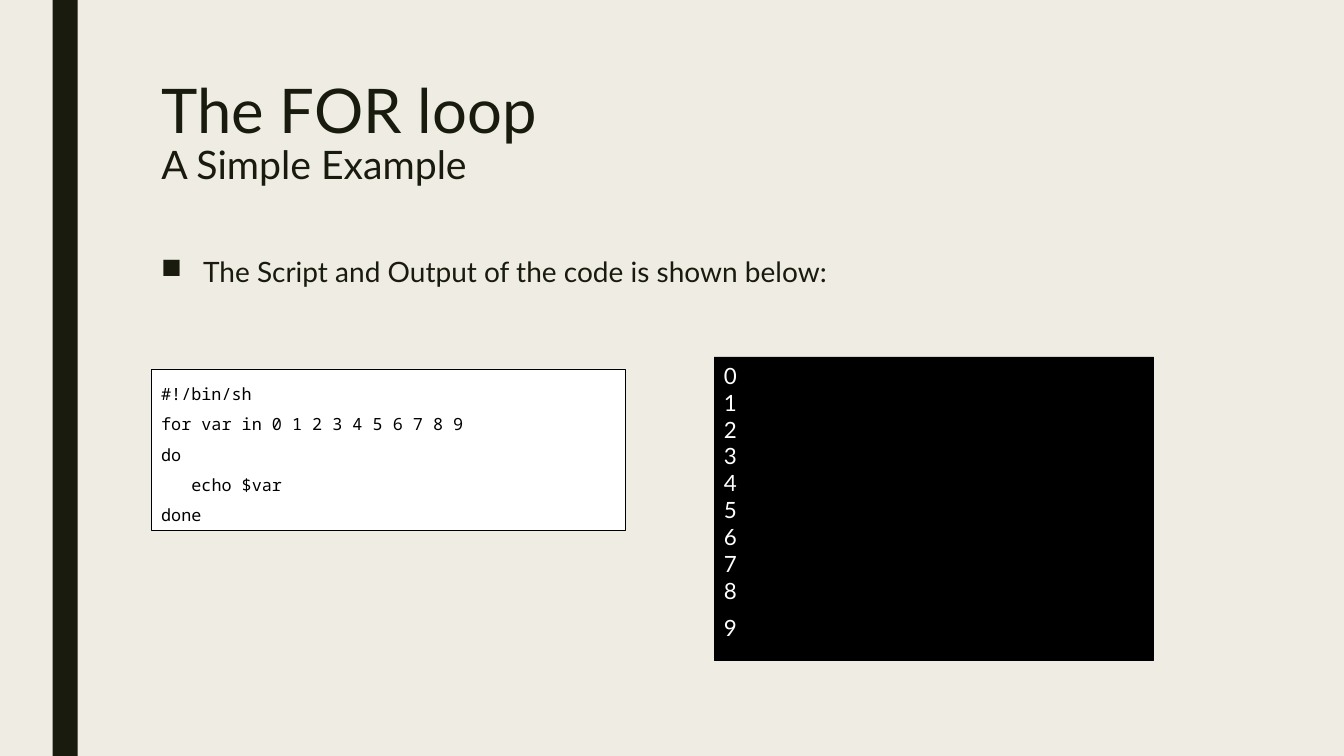
from lxml.etree import SubElement
from pptx import Presentation
from pptx.dml.color import RGBColor
from pptx.enum.shapes import MSO_SHAPE as Shape
from pptx.enum.text import MSO_ANCHOR as Anchor, MSO_AUTO_SIZE as AutoSize, PP_ALIGN as Align
from pptx.oxml.ns import qn
from pptx.util import Pt

TITLE, SUBTITLE = "The FOR loop", "A Simple Example"
BULLET = "The Script and Output of the code is shown below:"
# Each script line with its indent, counted in characters
SCRIPT = [
    (0, "#!/bin/sh"),
    (0, "for var in 0 1 2 3 4 5 6 7 8 9"),
    (0, "do"),
    (3, "echo $var"),
    (0, "done"),
]
OUTPUT = [str(number) for number in range(10)]

THEME = {
    "paper": "EFEDE3", "ink": "191B0E", "white": "FFFFFF", "black": "000000",
    "sans": "Lato", "mono": "Noto Sans Mono",
    "title": 44, "subtitle": 28, "body": 20, "output": 16, "code": 12,
}
PAGE_SIZE = (960, 540)
PLACES = {
    "bar": (37.5, 0, 18, 540),
    "title": (108, 54, 756, 116.5),
    "body": (108, 180, 756, 282),
    "script": (108, 263.5, 339, 115.5),
    "output": (510, 255, 314, 216.5),
}
BULLET_INDENT = 30
CODE_CHARACTER_WIDTH = 0.6 * THEME["code"]
CODE_LINE_HEIGHT = 1.8 * THEME["code"]
LAST_OUTPUT_GAP = 7.7


def colour(name):
    return RGBColor.from_string(THEME[name])


def set_format(target, values):
    for name, value in values.items():
        setattr(target, name, value)


def add_span(para, text, size, ink, face="sans"):
    span = para.add_run()
    span.text = text
    set_format(span.font, {"size": Pt(THEME[size]), "name": THEME[face]})
    span.font.color.rgb = colour(ink)


def set_frame(box):
    set_format(box.text_frame, {
        "word_wrap": True, "auto_size": AutoSize.NONE, "vertical_anchor": Anchor.TOP,
        "margin_left": Pt(7.2), "margin_right": Pt(7.2),
        "margin_top": Pt(3.6), "margin_bottom": Pt(3.6),
    })


def add_rectangle(page, place, fill, outline=None):
    box = page.shapes.add_shape(Shape.RECTANGLE, *map(Pt, PLACES[place]))
    box.shadow.inherit = False
    box.fill.solid()
    box.fill.fore_color.rgb = colour(fill)
    if outline:
        box.line.color.rgb = colour(outline)
        box.line.width = Pt(0.5)
    else:
        box.line.fill.background()
    set_frame(box)
    return box


def next_para(box, index):
    frame = box.text_frame
    para = frame.add_paragraph() if index else frame.paragraphs[0]
    para.alignment = Align.LEFT
    return para


def add_title(page):
    box = page.shapes.title
    set_format(box, dict(zip(("left", "top", "width", "height"), map(Pt, PLACES["title"]))))
    set_frame(box)
    para = next_para(box, 0)
    para.line_spacing = 0.89
    add_span(para, TITLE, "title", "ink")
    para.add_line_break()
    add_span(para, SUBTITLE, "subtitle", "ink")


def add_body(page):
    box = page.shapes.add_textbox(*map(Pt, PLACES["body"]))
    set_frame(box)
    para = next_para(box, 0)
    set_format(para, {"line_spacing": 0.94, "space_before": Pt(10), "space_after": Pt(2)})
    add_span(para, BULLET, "body", "ink")
    properties = para._p.get_or_add_pPr()
    properties.set("marL", str(Pt(BULLET_INDENT)))
    properties.set("indent", str(-Pt(BULLET_INDENT)))
    SubElement(properties, qn("a:buChar")).set("char", "■")


def add_script(page):
    box = add_rectangle(page, "script", "white", "black")
    for index, (indent, line) in enumerate(SCRIPT):
        para = next_para(box, index)
        para.line_spacing = Pt(CODE_LINE_HEIGHT)
        para._p.get_or_add_pPr().set("marL", str(Pt(indent * CODE_CHARACTER_WIDTH)))
        add_span(para, line, "code", "black", "mono")


def add_output(page):
    box = add_rectangle(page, "output", "black", "black")
    for index, line in enumerate(OUTPUT):
        para = next_para(box, index)
        add_span(para, line, "output", "white")
    para.space_before = Pt(LAST_OUTPUT_GAP)


def main():
    deck = Presentation()
    deck.slide_width, deck.slide_height = map(Pt, PAGE_SIZE)
    page = deck.slides.add_slide(deck.slide_layouts[5])
    page.background.fill.solid()
    page.background.fill.fore_color.rgb = colour("paper")
    add_rectangle(page, "bar", "ink")
    add_title(page)
    add_body(page)
    add_script(page)
    add_output(page)
    deck.save("out.pptx")


if __name__ == "__main__":
    main()
